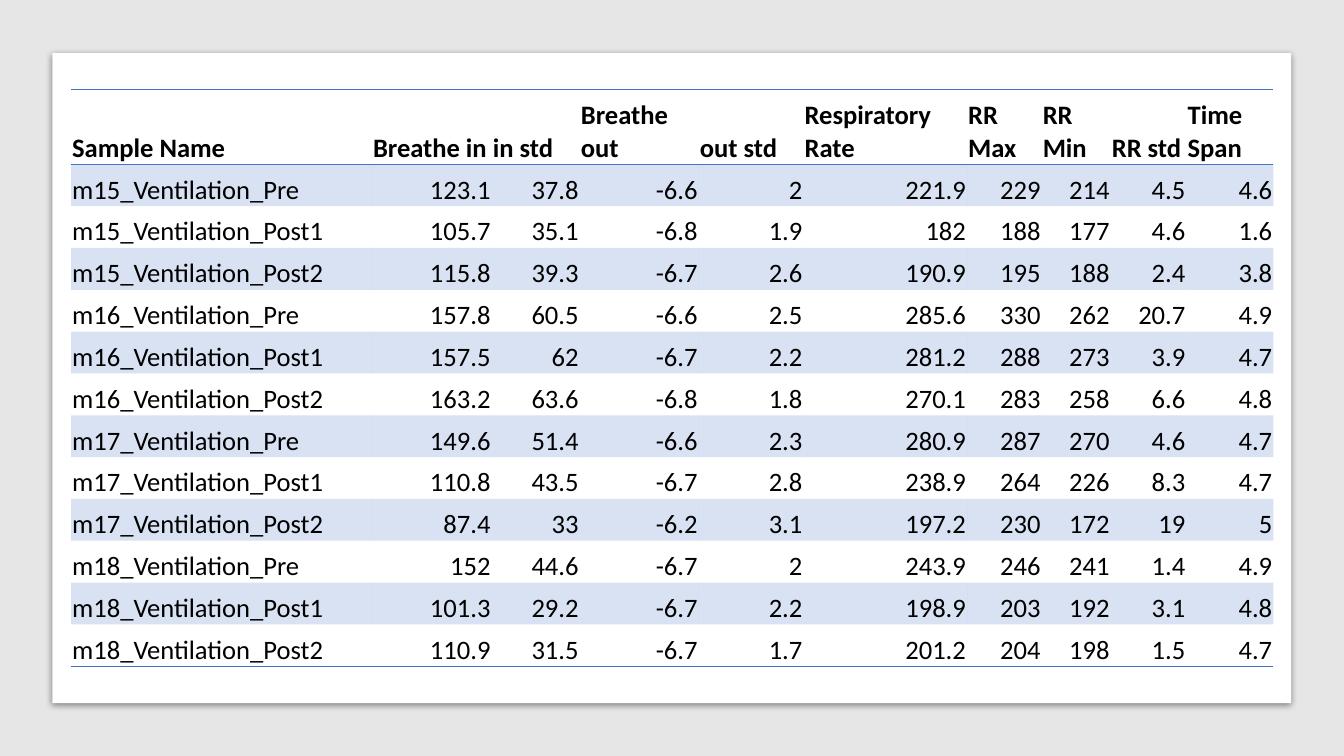
from lxml.etree import SubElement
from pptx import Presentation
from pptx.dml.color import RGBColor
from pptx.enum.shapes import MSO_SHAPE as Shape
from pptx.enum.text import MSO_ANCHOR as Anchor, PP_ALIGN as Align
from pptx.oxml.ns import qn
from pptx.util import Cm, Pt

BLUE = "4472C4"
NO_STYLE = "{2D5ABB26-0587-4C30-8999-92F81FD0307C}"
SLIDE_WIDTH, SLIDE_HEIGHT = Cm(33.87), Cm(19.05)
HEADER_HEIGHT, SAMPLE_HEIGHT = 1.88, 1.054
COLUMN_WIDTHS = [7.58, 3.02, 2.22, 3, 2.64, 4.12, 1.88, 1.74, 1.91, 2.19]
HEADER = ["Sample Name", "Breathe in", "in std", "Breathe out", "out std",
          "Respiratory Rate", "RR Max", "RR Min", "RR std", "Time Span"]
SAMPLES = [
    ["m15_Ventilation_Pre", 123.1, 37.8, -6.6, 2, 221.9, 229, 214, 4.5, 4.6],
    ["m15_Ventilation_Post1", 105.7, 35.1, -6.8, 1.9, 182, 188, 177, 4.6, 1.6],
    ["m15_Ventilation_Post2", 115.8, 39.3, -6.7, 2.6, 190.9, 195, 188, 2.4, 3.8],
    ["m16_Ventilation_Pre", 157.8, 60.5, -6.6, 2.5, 285.6, 330, 262, 20.7, 4.9],
    ["m16_Ventilation_Post1", 157.5, 62, -6.7, 2.2, 281.2, 288, 273, 3.9, 4.7],
    ["m16_Ventilation_Post2", 163.2, 63.6, -6.8, 1.8, 270.1, 283, 258, 6.6, 4.8],
    ["m17_Ventilation_Pre", 149.6, 51.4, -6.6, 2.3, 280.9, 287, 270, 4.6, 4.7],
    ["m17_Ventilation_Post1", 110.8, 43.5, -6.7, 2.8, 238.9, 264, 226, 8.3, 4.7],
    ["m17_Ventilation_Post2", 87.4, 33, -6.2, 3.1, 197.2, 230, 172, 19, 5],
    ["m18_Ventilation_Pre", 152, 44.6, -6.7, 2, 243.9, 246, 241, 1.4, 4.9],
    ["m18_Ventilation_Post1", 101.3, 29.2, -6.7, 2.2, 198.9, 203, 192, 3.1, 4.8],
    ["m18_Ventilation_Post2", 110.9, 31.5, -6.7, 1.7, 201.2, 204, 198, 1.5, 4.7],
]


def paint(fill, color):
    fill.solid()
    fill.fore_color.rgb = RGBColor.from_string(color)


def add_alpha(color_element, percent):
    SubElement(color_element, qn("a:alpha"), val=str(percent * 1000))


def add_panel(slide, left, top, width, height, color):
    panel = slide.shapes.add_shape(Shape.RECTANGLE, left, top, width, height)
    paint(panel.fill, color)
    panel.line.fill.background()
    panel.shadow.inherit = False
    return panel


def add_shadow(panel):
    effects = panel._element.spPr.find(qn("a:effectLst"))
    shadow = SubElement(effects, qn("a:outerShdw"), blurRad=str(Pt(5)),
                        dist=str(Pt(1.4)), dir="5400000", algn="t", rotWithShape="0")
    add_alpha(SubElement(shadow, qn("a:srgbClr"), val="000000"), 43)


def add_rule(cell, side):
    rule = SubElement(cell._tc.get_or_add_tcPr(), qn(f"a:{side}"), w=str(Pt(1)))
    SubElement(SubElement(rule, qn("a:solidFill")), qn("a:srgbClr"), val=BLUE)


def fill_band(cell):
    paint(cell.fill, BLUE)
    add_alpha(cell._tc.tcPr.find(qn("a:solidFill"))[0], 20)


def write_cell(cell, value, bold, align):
    cell.margin_left = cell.margin_right = cell.margin_top = Cm(0.03)
    cell.margin_bottom = 0
    cell.vertical_anchor = Anchor.BOTTOM
    paragraph = cell.text_frame.paragraphs[0]
    paragraph.text = str(value)
    paragraph.alignment = align
    font = paragraph.runs[0].font
    font.name, font.size, font.bold = "Calibri", Pt(19), bold
    font.color.rgb = RGBColor.from_string("000000")


def add_ventilation_table(slide):
    records = [HEADER] + SAMPLES
    height = HEADER_HEIGHT + SAMPLE_HEIGHT * len(SAMPLES)
    table = slide.shapes.add_table(len(records), len(HEADER), Cm(1.79), Cm(2.26),
                                   Cm(sum(COLUMN_WIDTHS)), Cm(height)).table
    table._tbl.tblPr.find(qn("a:tableStyleId")).text = NO_STYLE
    table.horz_banding = False
    for column, width in zip(table.columns, COLUMN_WIDTHS):
        column.width = Cm(width)
    for number, record in enumerate(records):
        is_header = number == 0
        table.rows[number].height = Cm(HEADER_HEIGHT if is_header else SAMPLE_HEIGHT)
        for position, value in enumerate(record):
            cell = table.cell(number, position)
            is_label = is_header or position == 0
            write_cell(cell, value, is_header, Align.LEFT if is_label else Align.RIGHT)
            if is_header:
                add_rule(cell, "lnT")
            if is_header or number == len(SAMPLES):
                add_rule(cell, "lnB")
            if number % 2:
                fill_band(cell)
            else:
                cell.fill.background()


def main():
    deck = Presentation()
    deck.slide_width, deck.slide_height = SLIDE_WIDTH, SLIDE_HEIGHT
    slide = deck.slides.add_slide(deck.slide_layouts[6])
    add_panel(slide, 0, 0, SLIDE_WIDTH, SLIDE_HEIGHT, "E7E6E6")
    card = add_panel(slide, Cm(1.32), Cm(1.34), Cm(31.22), Cm(16.38), "FFFFFF")
    add_shadow(card)
    add_ventilation_table(slide)
    deck.save("out.pptx")


if __name__ == "__main__":
    main()
